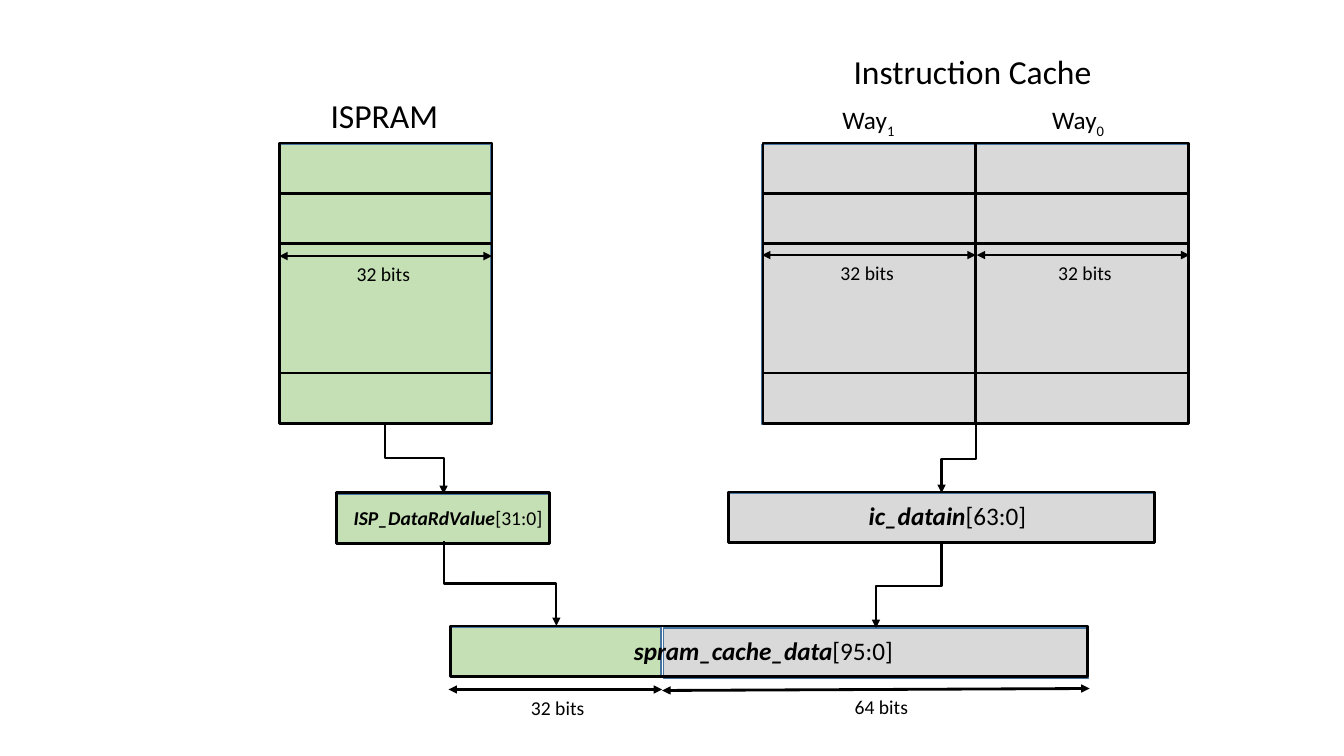
from dataclasses import dataclass
from typing import Any, Optional

from lxml.etree import SubElement
from pptx import Presentation
from pptx.dml.color import RGBColor
from pptx.enum.shapes import MSO_CONNECTOR as Link, MSO_SHAPE as Form
from pptx.enum.text import MSO_AUTO_SIZE as AutoSize
from pptx.oxml.ns import qn
from pptx.util import Pt


@dataclass(frozen=True)
class Theme:
    ink: str = "000000"
    panel_edge: str = "43739E"
    scratchpad: str = "C5E0B4"
    cache: str = "D9D9D9"
    font: str = "Calibri"
    heading: float = 24
    label: float = 18
    small: float = 14
    outline: float = 2
    thin: float = 1
    flow: float = 1.5


@dataclass(frozen=True)
class Box:
    left: float
    top: float
    width: float
    height: float
    fill: Optional[str] = None


@dataclass(frozen=True)
class Memory:
    left: float
    columns: int


@dataclass(frozen=True)
class Label:
    left: float
    top: float
    width: float
    height: float
    size: float
    text: str
    signal: str = ""
    subscript: str = ""


@dataclass(frozen=True)
class Line:
    x1: float
    y1: float
    x2: float
    y2: float


THEME = Theme()
WORD_WIDTH, ROW_HEIGHT = 152, 36
MEMORY_TOP = 102.2
ROW_TOPS = (MEMORY_TOP, MEMORY_TOP + ROW_HEIGHT, 266.5)
SIDE_BOTTOM = 277.2

ISPRAM = Memory(199.5, 1)
CACHE = Memory(545, 2)

PANELS = (
    Box(473.8, 448.6, 303.8, 36, THEME.cache),
    Box(520.6, 352.1, 303.8, 36, THEME.cache),
    Box(321.8, 447.8, 150.5, 34.6, THEME.scratchpad),
    Box(241.2, 352.8, 150.5, 34.6, THEME.scratchpad),
    Box(199.5, 103, 151.2, 198.7, THEME.scratchpad),
    Box(544.3, 103, 303.8, 200.2, THEME.cache),
)
REGISTERS = (
    Box(321.8, 447.1, 455, ROW_HEIGHT),
    Box(520.6, 351.4, 303.8, ROW_HEIGHT),
    Box(240.5, 352.1, WORD_WIDTH, ROW_HEIGHT),
)
LABELS = (
    Label(602.6, 33.1, 186.5, 36, THEME.heading, "Instruction Cache"),
    Label(229, 64.1, 92.2, 36, THEME.heading, "ISPRAM"),
    Label(594.7, 71.3, 52.6, 28.8, THEME.label, "Way", subscript="1"),
    Label(744.5, 71.3, 52.6, 28.8, THEME.label, "Way", subscript="0"),
    Label(748.8, 182.9, 53.3, 24.5, THEME.small, "32 bits"),
    Label(593.3, 182.9, 53.3, 24.5, THEME.small, "32 bits"),
    Label(247.7, 183.6, 53.3, 24.5, THEME.small, "32 bits"),
    Label(372.2, 493.2, 53.3, 24.5, THEME.small, "32 bits"),
    Label(603.4, 492.5, 53.3, 24.5, THEME.small, "64 bits"),
    Label(445.7, 450, 205.9, 28.8, THEME.label, "[95:0]", "spram_cache_data"),
    Label(613.4, 354.2, 128.2, 28.8, THEME.label, "[63:0]", "ic_datain"),
    Label(245.5, 357.8, 150.5, 24.5, THEME.small, "[31:0]", "ISP_DataRdValue"),
)
WIDTH_ARROWS = (
    Line(697.7, 182.2, 849.6, 182.2),
    Line(544.3, 182.2, 697, 182.2),
    Line(199.5, 182.9, 351.4, 182.9),
    Line(320.4, 492.5, 473, 492.5),
    Line(473, 493.2, 778.3, 491.8),
)
FLOWS = (
    Line(275, 301.7, 316.8, 352.8),
    Line(697, 303.1, 672.5, 352.1),
    Line(316.8, 386.6, 397.4, 447.1),
    Line(672.5, 388.1, 625.7, 448.6),
)


def set_all(target: Any, values: dict[str, Any]) -> None:
    for name, value in values.items():
        setattr(target, name, value)


def draw_box(slide: Any, box: Box) -> None:
    """Draw a filled panel, or an open outline when the box has no fill."""
    rect = slide.shapes.add_shape(
        Form.RECTANGLE, Pt(box.left), Pt(box.top), Pt(box.width), Pt(box.height))
    rect.shadow.inherit = False
    if box.fill:
        rect.fill.solid()
        rect.fill.fore_color.rgb = RGBColor.from_string(box.fill)
    else:
        rect.fill.background()
    edge = THEME.panel_edge if box.fill else THEME.ink
    rect.line.color.rgb = RGBColor.from_string(edge)
    rect.line.width = Pt(THEME.thin if box.fill else THEME.outline)


def draw_line(slide: Any, line: Line, width: float, arrows: tuple[str, ...] = (),
              kind: Any = Link.STRAIGHT) -> Any:
    """Draw a connector; arrows names the ends to point: headEnd, tailEnd."""
    connector = slide.shapes.add_connector(
        kind, Pt(line.x1), Pt(line.y1), Pt(line.x2), Pt(line.y2))
    connector.line.color.rgb = RGBColor.from_string(THEME.ink)
    connector.line.width = Pt(width)
    outline = connector.line._get_or_add_ln()
    for end in arrows:
        SubElement(outline, qn(f"a:{end}"), type="triangle")
    SubElement(connector._element.spPr, qn("a:effectLst"))
    return connector


def draw_flow(slide: Any, flow: Line) -> None:
    """Draw an elbow that leaves downwards: a horizontal one, turned."""
    mid_x, mid_y = (flow.x1 + flow.x2) / 2, (flow.y1 + flow.y2) / 2
    half_w, half_h = (flow.y2 - flow.y1) / 2, abs(flow.x2 - flow.x1) / 2
    unturned = Line(mid_x - half_w, mid_y - half_h, mid_x + half_w, mid_y + half_h)
    elbow = draw_line(slide, unturned, THEME.flow, ("tailEnd",), Link.ELBOW)
    xfrm = elbow._element.spPr.find(qn("a:xfrm"))
    if flow.x2 > flow.x1:
        xfrm.set("rot", str(270 * 60000))
        xfrm.set("flipH", "1")
    else:
        xfrm.set("rot", str(90 * 60000))


def draw_memory(slide: Any, memory: Memory) -> None:
    for column in range(memory.columns):
        for top in ROW_TOPS:
            left = memory.left + column * WORD_WIDTH
            draw_box(slide, Box(left, top, WORD_WIDTH, ROW_HEIGHT))
    for edge in range(memory.columns + 1):
        x = memory.left + edge * WORD_WIDTH
        draw_line(slide, Line(x, SIDE_BOTTOM, x, MEMORY_TOP), THEME.outline)


def draw_label(slide: Any, label: Label) -> None:
    frame = slide.shapes.add_textbox(
        Pt(label.left), Pt(label.top), Pt(label.width), Pt(label.height)).text_frame
    set_all(frame, {"word_wrap": False, "auto_size": AutoSize.SHAPE_TO_FIT_TEXT})
    for part in (label.signal, label.text, label.subscript):
        if not part:
            continue
        run = frame.paragraphs[0].add_run()
        run.text = part
        emphasis = part == label.signal
        set_all(run.font, {"name": THEME.font, "size": Pt(label.size),
                           "bold": emphasis, "italic": emphasis})
        run.font.color.rgb = RGBColor.from_string(THEME.ink)
        if part == label.subscript:
            run._r.get_or_add_rPr().set("baseline", "-25000")


def main() -> None:
    deck = Presentation()
    set_all(deck, {"slide_width": Pt(960), "slide_height": Pt(540)})
    slide = deck.slides.add_slide(deck.slide_layouts[6])
    for panel in PANELS:
        draw_box(slide, panel)
    for memory in (ISPRAM, CACHE):
        draw_memory(slide, memory)
    for register in REGISTERS:
        draw_box(slide, register)
    for arrow in WIDTH_ARROWS:
        draw_line(slide, arrow, THEME.outline, ("headEnd", "tailEnd"))
    for flow in FLOWS:
        draw_flow(slide, flow)
    for label in LABELS:
        draw_label(slide, label)
    deck.save("out.pptx")


if __name__ == "__main__":
    main()
